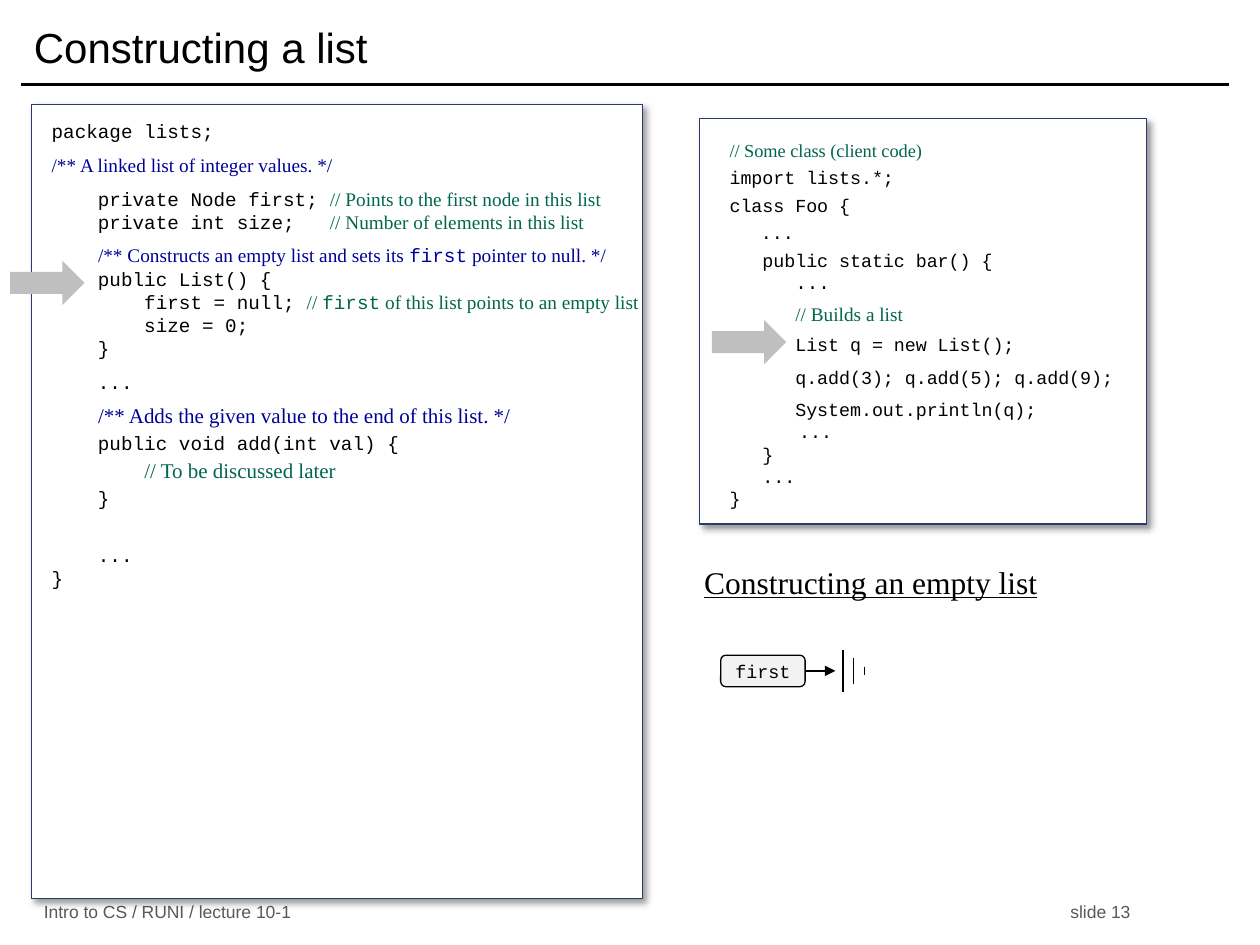
from lxml import etree
from pptx import Presentation
from pptx import util as u
from pptx.dml.color import RGBColor
from pptx.enum import shapes, text
from pptx.oxml import parse_xml
from pptx.oxml.ns import nsdecls, qn

Inches, Pt = u.Inches, u.Pt
BLACK = RGBColor(0x00, 0x00, 0x00)
WHITE = RGBColor(0xFF, 0xFF, 0xFF)
GRAY = RGBColor(0x59, 0x59, 0x59)
ARROW_GRAY = RGBColor(0xBF, 0xBF, 0xBF)
LIGHT = RGBColor(0xF2, 0xF2, 0xF2)
NAVY = RGBColor(0x29, 0x39, 0x73)
DOC_BLUE = RGBColor(0x00, 0x00, 0x99)
NOTE_GREEN = RGBColor(0x00, 0x66, 0x4D)
SANS, SERIF, MONO = "Arial", "Times New Roman", "Courier New"

STYLES = {
    "code": (MONO, BLACK),
    "doc": (SERIF, DOC_BLUE),
    "doc code": (MONO, DOC_BLUE),
    "note": (SERIF, NOTE_GREEN),
    "note code": (MONO, NOTE_GREEN),
}

LIST_CLASS = [
    (0, [("code", "package lists;")]),
    (6, [("doc", "/** A linked list of integer values. */")]),
    (6, [("code", "    private Node first; "),
         ("note", "// Points to the first node in this list")]),
    (0, [("code", "    private int size;   "),
         ("note", "// Number of elements in this list")]),
    (6, [("code", "    "), ("doc", "/** Constructs an empty list and sets its "),
         ("doc code", "first"), ("doc", " pointer to null. */")]),
    (0, [("code", "    public List() {")]),
    (0, [("code", "        first = null; "), ("note", "// "),
         ("note code", "first"), ("note", " of this list points to an empty list")]),
    (0, [("code", "        size = 0;")]),
    (0, [("code", "    }")]),
    (6, [("code", "    ...")]),
    (6, [("code", "    "),
         ("doc", "/** Adds the given value to the end of this list. */", 12)]),
    (2, [("code", "    public void add(int val) {")]),
    (2, [("code", "        "), ("note", "// To be discussed later", 12)]),
    (2, [("code", "    }")]),
    (19.2, [("code", "    ...")]),
    (0, [("code", "}")]),
]

CLIENT_CLASS = [
    (0, [("note", "// Some class (client code)")]),
    (3, [("code", "import lists.*;")]),
    (3, [("code", "class Foo {")]),
    (3, [("code", "   ", 10), ("code", "...")]),
    (3, [("code", "   public static bar() {")]),
    (0, [("code", "      "), ("code", "...", 11)]),
    (6, [("code", "      "), ("note", "// Builds a list", 11)]),
    (4, [("code", "      List q = new List();")]),
    (6, [("code", "      q.add(3); q.add(5); q.add(9);")]),
    (6, [("code", "      System.out.println(q);")]),
    (0, [("code", "      ", 11), ("code", "...")]),
    (0, [("code", "   }")]),
    (0, [("code", "   ...")]),
    (0, [("code", "}")]),
]


def add_run(paragraph, content, size, font, color):
    run = paragraph.add_run()
    run.text = content
    run.font.size = Pt(size)
    run.font.name = font
    run.font.color.rgb = color
    return run


def add_label(slide, left, top, width, height, content, size, font, color,
              align=text.PP_ALIGN.LEFT):
    label = slide.shapes.add_textbox(Inches(left), Inches(top), Inches(width), Inches(height))
    frame = label.text_frame
    frame.word_wrap = True
    frame.vertical_anchor = text.MSO_ANCHOR.MIDDLE
    frame.paragraphs[0].alignment = align
    return add_run(frame.paragraphs[0], content, size, font, color)


def add_box(slide, preset, left, top, width, height, fill, line=None):
    shape = slide.shapes.add_shape(
        preset, Inches(left), Inches(top), Inches(width), Inches(height))
    shape.shadow.inherit = False
    shape.fill.solid()
    shape.fill.fore_color.rgb = fill
    if line is None:
        shape.line.fill.background()
    else:
        shape.line.color.rgb = line
        shape.line.width = Pt(0.75)
    return shape


def add_line(slide, start_x, start_y, end_x, end_y, width=0.75, arrow=False):
    line = slide.shapes.add_connector(
        shapes.MSO_CONNECTOR.STRAIGHT,
        Inches(start_x), Inches(start_y), Inches(end_x), Inches(end_y))
    line.line.color.rgb = BLACK
    line.line.width = Pt(width)
    if arrow:
        etree.SubElement(line.line._get_or_add_ln(), qn("a:tailEnd"), type="triangle")
    etree.SubElement(line._element.spPr, qn("a:effectLst"))


def add_code_panel(slide, left, top, width, height, lines, size, inset_x, inset_y, pitch):
    panel = add_box(slide, shapes.MSO_SHAPE.RECTANGLE, left, top, width, height, WHITE, NAVY)
    panel._element.spPr.find(qn("a:effectLst")).append(parse_xml(
        f'<a:outerShdw {nsdecls("a")} blurRad="50800" dist="38100" dir="2700000" '
        'algn="tl" rotWithShape="0"><a:srgbClr val="000000"><a:alpha val="40000"/>'
        '</a:srgbClr></a:outerShdw>'))
    frame = panel.text_frame
    frame.word_wrap = True
    frame.vertical_anchor = text.MSO_ANCHOR.TOP
    frame.margin_left, frame.margin_top = Inches(inset_x), Inches(inset_y)
    frame.margin_right = frame.margin_bottom = 0
    for index, (space, pieces) in enumerate(lines):
        paragraph = frame.add_paragraph() if index else frame.paragraphs[0]
        paragraph.alignment = text.PP_ALIGN.LEFT
        paragraph.space_before = Pt(space)
        largest = max((piece[2] for piece in pieces if len(piece) > 2), default=size)
        paragraph.line_spacing = Pt(14 if largest == 12 else pitch)
        for style, content, *own_size in pieces:
            add_run(paragraph, content, own_size[0] if own_size else size, *STYLES[style])


def add_header(slide, left, top, width, height):
    add_label(slide, left, top, width, height, "Constructing a list", 24, SANS, BLACK)
    rule_y = top + height + 0.01
    add_line(slide, left, rule_y, left + width, rule_y, 2)


def add_footer(slide, left, top, width, height):
    add_label(slide, left, top, 4, height, "Intro to CS / RUNI / lecture 10-1", 10, SANS, GRAY)
    add_label(slide, left + width - 2, top, 2, height, "slide 13", 10, SANS, GRAY,
              text.PP_ALIGN.RIGHT)


def add_pointer(slide, left, top):
    add_box(slide, shapes.MSO_SHAPE.RIGHT_ARROW, left, top, 0.59, 0.35, ARROW_GRAY)


def add_empty_list(slide, left, top, width, height):
    middle = top + height / 2
    for index, bar_height in enumerate((0.33, 0.2, 0.07)):
        bar_x = left + 0.97 + index * 0.085
        add_line(slide, bar_x, middle - bar_height / 2, bar_x, middle + bar_height / 2)
    add_line(slide, left + width, middle, left + 0.91, middle, arrow=True)
    node = add_box(slide, shapes.MSO_SHAPE.ROUNDED_RECTANGLE,
                   left, top, width, height, LIGHT, BLACK)
    frame = node.text_frame
    frame.margin_left = frame.margin_right = 0
    frame.vertical_anchor = text.MSO_ANCHOR.MIDDLE
    frame.paragraphs[0].alignment = text.PP_ALIGN.CENTER
    add_run(frame.paragraphs[0], "first", 10.5, MONO, BLACK)


def main():
    presentation = Presentation()
    presentation.slide_width, presentation.slide_height = Inches(10), Inches(7.5)
    slide = presentation.slides.add_slide(presentation.slide_layouts[6])
    add_footer(slide, 0.25, 7.14, 8.82, 0.19)
    add_code_panel(slide, 5.55, 0.94, 3.55, 3.22, CLIENT_CLASS, 10.5, 0.24, 0.16, 12.7)
    add_code_panel(slide, 0.25, 0.83, 4.85, 6.3, LIST_CLASS, 11, 0.16, 0.12, 13.2)
    add_header(slide, 0.17, 0.08, 9.58, 0.58)
    heading = add_label(slide, 5.49, 4.41, 3.33, 0.41, "Constructing an empty list",
                        18, SERIF, BLACK)
    heading.font.underline = True
    add_empty_list(slide, 5.72, 5.2, 0.67, 0.25)
    add_pointer(slide, 5.65, 2.54)
    add_pointer(slide, 0.08, 2.07)
    presentation.save("out.pptx")


if __name__ == "__main__":
    main()
